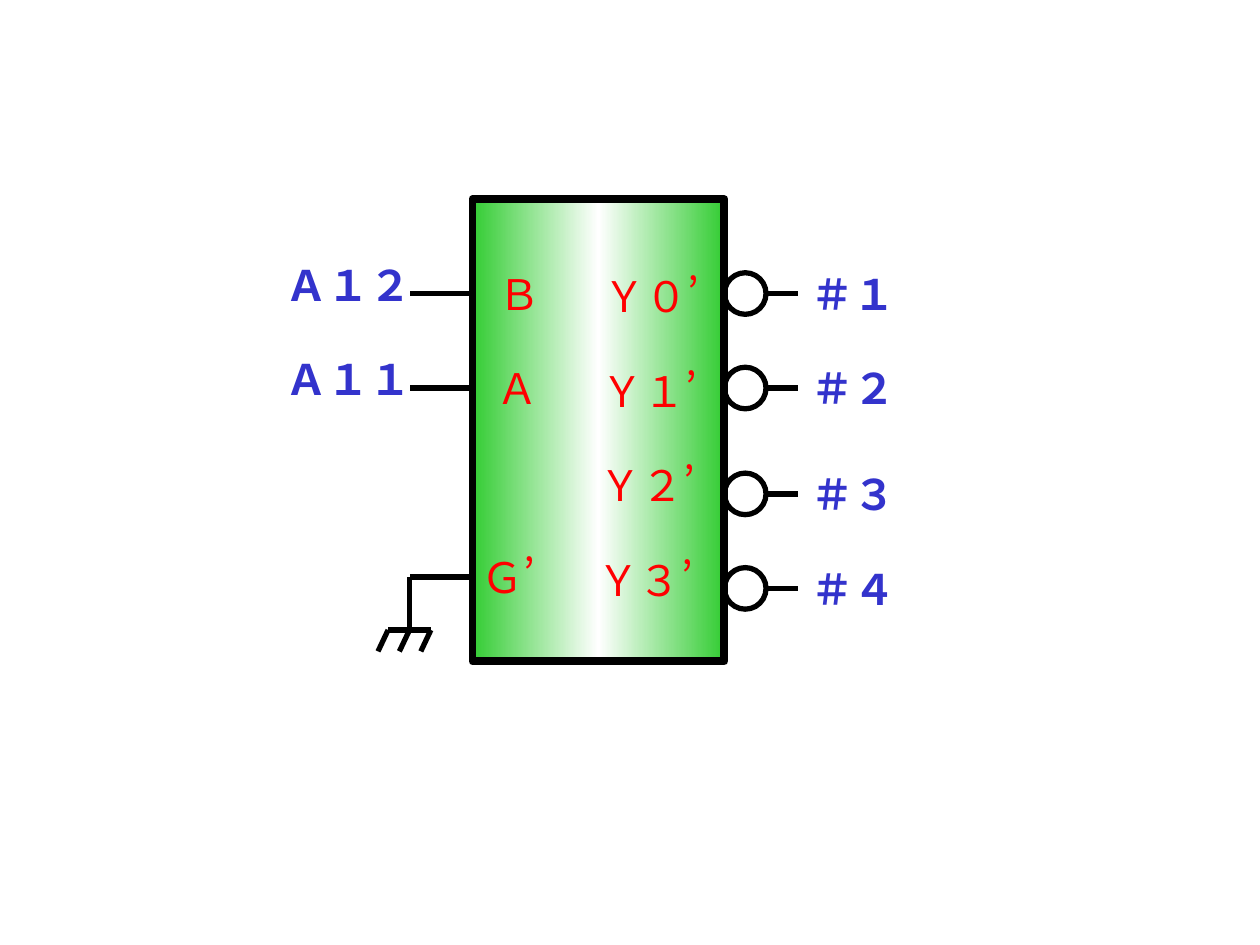
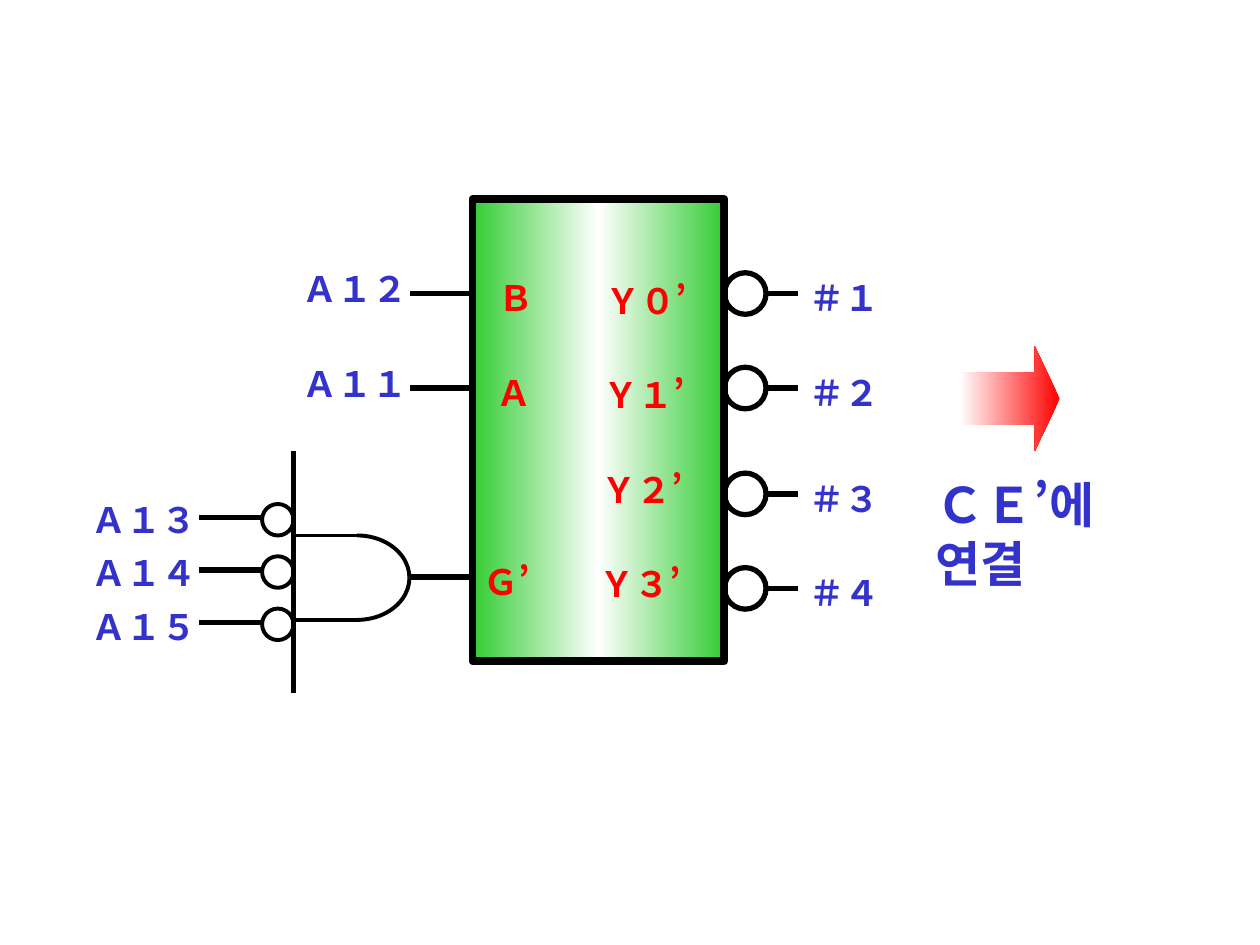
from dataclasses import dataclass

import pptx
import pptx.util
from lxml import etree
from pptx.dml.color import RGBColor
from pptx.enum.lang import MSO_LANGUAGE_ID
from pptx.enum.shapes import MSO_CONNECTOR, MSO_SHAPE
from pptx.enum.text import MSO_AUTO_SIZE
from pptx.oxml.ns import qn
from pptx.util import Inches

COLORS = {"ink": "000000", "pin": "FF0000", "signal": "3333CC",
          "chip": "33CC33", "white": "FFFFFF"}
FONT = "Times New Roman"
BLANK_LAYOUT = 6

# Shared geometry, in inches
CHIP_LEFT, CHIP_TOP, CHIP_WIDTH, CHIP_HEIGHT = 3.75, 1.58, 2, 3.67
CHIP_RIGHT = CHIP_LEFT + CHIP_WIDTH
ROW_GAP = 0.75
INPUT_WIRE_LEFT = 3.25
ENABLE_Y = 4.58
OUTPUT_ROWS = (2.33, 3.08, 3.92, 4.67)


@dataclass(frozen=True)
class Lettering:
    """Look of one kind of label."""
    size: int
    color: str
    bold: bool = True


@dataclass(frozen=True)
class DecoderStyle:
    """What differs between the two decoder drawings."""
    pins: Lettering
    signals: Lettering
    pin_shift: float
    input_left: float
    output_left: float


@dataclass(frozen=True)
class Wire:
    """A straight line between two points."""
    x1: float
    y1: float
    x2: float
    y2: float
    width: float = 3


def rgb(name: str) -> RGBColor:
    return RGBColor.from_string(COLORS[name])


def draw_wire(slide, wire: Wire) -> None:
    connector = slide.shapes.add_connector(
        MSO_CONNECTOR.STRAIGHT, Inches(wire.x1), Inches(wire.y1),
        Inches(wire.x2), Inches(wire.y2))
    connector.line.color.rgb = rgb("ink")
    connector.line.width = pptx.util.Pt(wire.width)
    etree.SubElement(connector._element.spPr, qn("a:effectLst"))


def draw_shape(slide, kind, left: float, top: float, width: float,
               height: float, line_width: float = 0):
    """Add an unfilled shape; a zero line width means no outline."""
    shape = slide.shapes.add_shape(
        kind, Inches(left), Inches(top), Inches(width), Inches(height))
    shape.shadow.inherit = False
    shape.fill.background()
    if line_width:
        shape.line.color.rgb = rgb("ink")
        shape.line.width = pptx.util.Pt(line_width)
    else:
        shape.line.fill.background()
    return shape


def fill_gradient(shape, colors: tuple[str, ...]) -> None:
    """Spread the colours evenly from right to left."""
    shape.fill.gradient()
    shape.fill.gradient_angle = 180
    stops = shape._element.spPr.find(qn("a:gradFill")).find(qn("a:gsLst"))
    for stop in list(stops):
        stops.remove(stop)
    for index, color in enumerate(colors):
        position = str(index * 100000 // (len(colors) - 1))
        stop = etree.SubElement(stops, qn("a:gs"), pos=position)
        etree.SubElement(stop, qn("a:srgbClr"), val=COLORS[color])


def draw_label(slide, text: str, left: float, bottom: float,
               lettering: Lettering) -> None:
    """Size the box for full-width letters and rest it on its bottom."""
    lines = text.split("\n")
    em = lettering.size / 72
    width = 0.2 + em * max(len(line) for line in lines)
    height = 0.1 + 1.2 * em * len(lines)
    box = slide.shapes.add_textbox(
        Inches(left), Inches(bottom - height), Inches(width), Inches(height))
    frame = box.text_frame
    frame.word_wrap = False
    frame.auto_size = MSO_AUTO_SIZE.SHAPE_TO_FIT_TEXT
    frame.text = text
    font_values = {"name": FONT, "size": pptx.util.Pt(lettering.size),
                   "bold": lettering.bold,
                   "language_id": MSO_LANGUAGE_ID.KOREAN}
    for paragraph in frame.paragraphs:
        for run in paragraph.runs:
            for name, value in font_values.items():
                setattr(run.font, name, value)
            run.font.color.rgb = rgb(lettering.color)


def draw_bubble(slide, right: float, center_y: float, diameter: float,
                line_width: float) -> None:
    draw_shape(slide, MSO_SHAPE.OVAL, right - diameter,
               center_y - diameter / 2, diameter, diameter, line_width)


def draw_decoder(slide, style: DecoderStyle) -> None:
    # Chip body
    chip = draw_shape(slide, MSO_SHAPE.RECTANGLE, CHIP_LEFT, CHIP_TOP,
                      CHIP_WIDTH, CHIP_HEIGHT, 4.5)
    fill_gradient(chip, ("chip", "white", "chip"))

    # Pin names
    draw_label(slide, "Ｂ", 3.86, 2.58, style.pins)
    draw_label(slide, "Ａ", 3.84, 3.33, style.pins)
    draw_label(slide, "Ｇ’", 3.72 + style.pin_shift, 4.83, style.pins)
    for row, digit in enumerate("０１２３"):
        draw_label(slide, f"Ｙ{digit}’", 4.69 - row / 60 + style.pin_shift,
                   2.6 + row * ROW_GAP, style.pins)

    # Inverted outputs
    for y, digit in zip(OUTPUT_ROWS, "１２３４"):
        draw_bubble(slide, CHIP_RIGHT + 0.33, y, 0.33, 3)
        draw_wire(slide, Wire(6.33, y, CHIP_RIGHT + 0.33, y))
        draw_label(slide, f"＃{digit}", style.output_left, y + 0.25,
                   style.signals)

    # Address and enable inputs
    for y, name in zip(OUTPUT_ROWS, ("Ａ１２", "Ａ１１")):
        draw_wire(slide, Wire(CHIP_LEFT, y, INPUT_WIRE_LEFT, y))
        draw_label(slide, name, style.input_left, y + 0.18, style.signals)
    draw_wire(slide, Wire(CHIP_LEFT, ENABLE_Y, INPUT_WIRE_LEFT, ENABLE_Y))


def draw_ground(slide) -> None:
    ground_y = 5
    draw_wire(slide, Wire(INPUT_WIRE_LEFT, ENABLE_Y,
                          INPUT_WIRE_LEFT, ground_y))
    draw_wire(slide, Wire(3.08, ground_y, 3.42, ground_y))
    for x in (3.08, 3.25, 3.42):
        draw_wire(slide, Wire(x, ground_y, x - 0.08, ground_y + 0.17))


def draw_enable_gate(slide, lettering: Lettering) -> None:
    bar_x, gate_top, gate_bottom = 2.33, 4.25, 4.92
    arc_left, arc_width = 2.42, 0.83
    degree = 0.6  # arc adjustment units per degree

    # Input bar and gate outline
    draw_wire(slide, Wire(bar_x, 3.58, bar_x, 5.5))
    for y, start, end in ((gate_top, 270, 0), (gate_bottom, 0, 90)):
        draw_wire(slide, Wire(bar_x, y, arc_left + arc_width / 2, y, 2.25))
        arc = draw_shape(slide, MSO_SHAPE.ARC, arc_left, gate_top, arc_width,
                         gate_bottom - gate_top, 2.25)
        arc.adjustments[0] = start * degree
        arc.adjustments[1] = end * degree

    # Inverted inputs
    for row, digit in enumerate("３４５"):
        y = 4.11 + row * 0.415
        draw_bubble(slide, bar_x, y + 0.015, 0.25, 2.25)
        draw_wire(slide, Wire(bar_x - 0.25, y, 1.58, y))
        draw_label(slide, f"Ａ１{digit}", 0.63, 4.34 + row * 0.425, lettering)


def draw_chip_enable_note(slide) -> None:
    arrow = draw_shape(slide, MSO_SHAPE.RIGHT_ARROW, 7.62, 2.75, 0.79, 0.83)
    arrow.adjustments[1] = 0.25
    fill_gradient(arrow, ("pin", "white"))
    draw_label(slide, "ＣＥ’에\n연결", 7.33, 4.75, Lettering(28, "signal"))


def main() -> None:
    presentation = pptx.Presentation()
    presentation.slide_width = Inches(10)
    presentation.slide_height = Inches(7.5)
    layout = presentation.slide_layouts[BLANK_LAYOUT]

    # Slide 1: decoder that is always enabled
    slide = presentation.slides.add_slide(layout)
    draw_decoder(slide, DecoderStyle(
        Lettering(24, "pin", False), Lettering(24, "signal"),
        pin_shift=0, input_left=2.17, output_left=6.34))
    draw_ground(slide)

    # Slide 2: decoder enabled by the upper address lines
    slide = presentation.slides.add_slide(layout)
    signals = Lettering(20, "signal")
    draw_decoder(slide, DecoderStyle(
        Lettering(20, "pin"), signals,
        pin_shift=0.02, input_left=2.3, output_left=6.33))
    draw_chip_enable_note(slide)
    draw_enable_gate(slide, signals)

    presentation.save("out.pptx")


if __name__ == "__main__":
    main()
